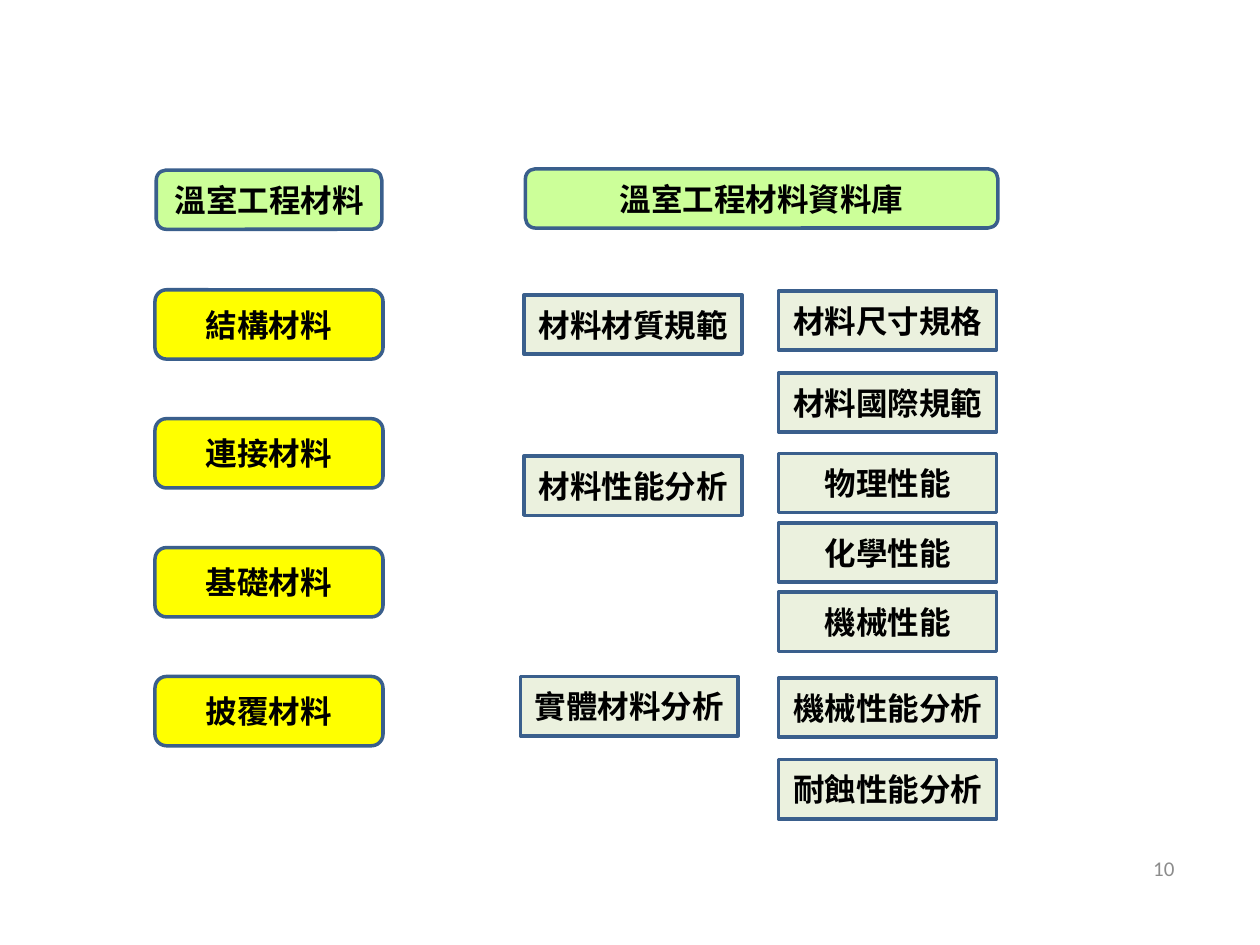
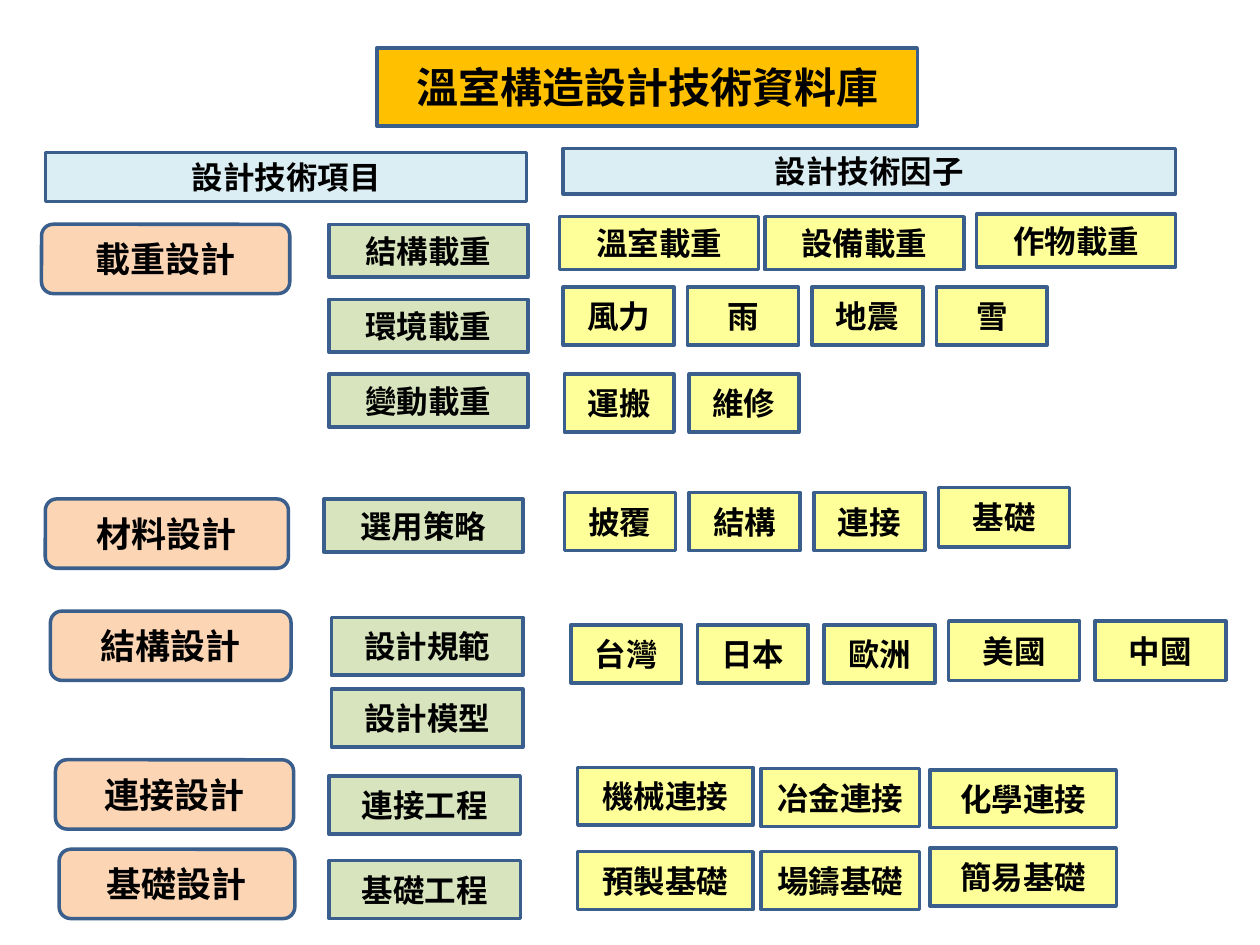
from dataclasses import dataclass
from typing import NamedTuple

from lxml import etree
from pptx import Presentation
from pptx import util as u
from pptx.dml.color import RGBColor
from pptx.enum import shapes, text
from pptx.oxml.ns import qn

BLACK = RGBColor(0x00, 0x00, 0x00)
GREY = RGBColor(0x8C, 0x8C, 0x8C)
OUTLINE = RGBColor(0x3A, 0x5F, 0x8C)
YELLOW = RGBColor(0xFF, 0xFF, 0x00)
LIME = RGBColor(0xCC, 0xFF, 0x99)
PALE_GREEN = RGBColor(0xEB, 0xF1, 0xDE)
ORANGE = RGBColor(0xFF, 0xC0, 0x00)
PEACH = RGBColor(0xFC, 0xD5, 0xB5)
OLIVE = RGBColor(0xD7, 0xE4, 0xBD)
PALE_YELLOW = RGBColor(0xFF, 0xFF, 0x99)
PALE_BLUE = RGBColor(0xDB, 0xEE, 0xF4)

CJK_FONT = "Noto Sans CJK SC"
LATIN_FONT = "Calibri"
SLIDE_WIDTH, SLIDE_HEIGHT = u.Inches(10), u.Inches(7.5)
COLUMNS, ROWS = 100, 75
RECT = shapes.MSO_SHAPE.RECTANGLE
ROUNDED = shapes.MSO_SHAPE.ROUNDED_RECTANGLE


@dataclass(frozen=True)
class TileStyle:
    fill: RGBColor
    outline: shapes.MSO_SHAPE = RECT
    size: int = 18


class Series(NamedTuple):
    labels: str
    left: float
    top: float
    width: float
    height: float
    across: float = 0
    down: float = 0


MATERIAL = TileStyle(YELLOW, ROUNDED)
HEADING = TileStyle(LIME, ROUNDED)
RECORD = TileStyle(PALE_GREEN)
BANNER = TileStyle(ORANGE, ROUNDED, 24)
DESIGN = TileStyle(PEACH, ROUNDED, 20)
ITEM = TileStyle(OLIVE)
FACTOR = TileStyle(PALE_YELLOW)
COLUMN_HEAD = TileStyle(PALE_BLUE)

MATERIAL_DATABASE = {
    HEADING: (
        Series("溫室工程材料", 12.4, 13.5, 17.9, 4.7),
        Series("溫室工程材料資料庫", 41.7, 13.4, 37.5, 4.7),
    ),
    MATERIAL: (
        Series("結構材料 連接材料 基礎材料 披覆材料", 12.3, 23, 18.1, 5.5, down=10.23),
    ),
    RECORD: (
        Series("材料材質規範 材料性能分析", 41.6, 23.4, 17.3, 4.7, down=12.8),
        Series("實體材料分析", 41.3, 53.7, 17.3, 4.7),
        Series("材料尺寸規格 材料國際規範", 61.8, 23.1, 17.3, 4.7, down=6.5),
        Series("物理性能 化學性能 機械性能", 61.8, 36, 17.3, 4.7, down=5.5),
        Series("機械性能分析 耐蝕性能分析", 61.8, 53.8, 17.3, 4.7, down=6.5),
    ),
}

DESIGN_DATABASE = {
    COLUMN_HEAD: (
        Series("設計技術項目", 3.6, 12.1, 38.2, 3.9),
        Series("設計技術因子", 44.7, 11.8, 48.6, 3.6),
    ),
    DESIGN: (
        Series("載重設計", 3.3, 17.8, 19.7, 5.5),
        Series("材料設計", 3.6, 39.6, 19.3, 5.5),
        Series("結構設計", 4, 48.5, 19.1, 5.5),
        Series("連接設計", 4.4, 60.3, 18.9, 5.5),
        Series("基礎設計", 4.7, 67.4, 18.7, 5.5),
    ),
    ITEM: (
        Series("結構載重 環境載重 變動載重", 26.1, 17.8, 15.8, 4.2, down=5.95),
        Series("選用策略", 25.7, 39.6, 15.8, 4.2),
        Series("設計規範 設計模型", 26.3, 49, 15.2, 4.6, down=5.7),
        Series("連接工程 基礎工程", 26.1, 61.6, 15.2, 4.6, down=6.7),
    ),
    FACTOR: (
        Series("溫室載重 設備載重", 44.4, 17.2, 15.8, 4.2, across=16.3),
        Series("作物載重", 77.5, 17, 15.8, 4.2),
        Series("風力 雨 地震 雪", 44.7, 22.8, 8.8, 4.6, across=9.87),
        Series("運搬 維修", 44.8, 29.7, 8.7, 4.6, across=9.9),
        Series("披覆 結構 連接", 44.8, 39.1, 8.8, 4.6, across=9.9),
        Series("基礎", 74.5, 38.7, 10.4, 4.7),
        Series("台灣 日本 歐洲", 45.3, 49.6, 8.8, 4.6, across=10.05),
        Series("美國 中國", 75.3, 49.3, 10.4, 4.7, across=11.6),
        Series("機械連接 預製基礎", 45.85, 60.9, 13.9, 4.6, down=6.7),
        Series("冶金連接 場鑄基礎", 60.4, 61, 12.6, 4.6, down=6.6),
        Series("化學連接 簡易基礎", 73.8, 61.1, 14.8, 4.6, down=6.2),
    ),
}


def col(count: float) -> u.Emu:
    return u.Emu(round(SLIDE_WIDTH * count / COLUMNS))


def row(count: float) -> u.Emu:
    return u.Emu(round(SLIDE_HEIGHT * count / ROWS))


def write(frame, words: str, *, size: int, color: RGBColor = BLACK, bold: bool = True,
          font: str = CJK_FONT, align=text.PP_ALIGN.CENTER) -> None:
    frame.word_wrap = True
    frame.auto_size = text.MSO_AUTO_SIZE.NONE
    frame.vertical_anchor = text.MSO_ANCHOR.MIDDLE
    paragraph = frame.paragraphs[0]
    paragraph.alignment = align
    run = paragraph.add_run()
    run.text = words
    run.font.size = u.Pt(size)
    run.font.bold = bold
    run.font.color.rgb = color
    run.font.name = font
    etree.SubElement(run.font._element, qn("a:ea")).set("typeface", font)


def paint(tile, words: str, style: TileStyle) -> None:
    tile.fill.solid()
    tile.fill.fore_color.rgb = style.fill
    tile.line.color.rgb = OUTLINE
    tile.line.width = u.Pt(2)
    write(tile.text_frame, words, size=style.size)


def draw_series(slide, series: Series, style: TileStyle) -> None:
    for step, label in enumerate(series.labels.split()):
        tile = slide.shapes.add_shape(
            style.outline,
            col(series.left + step * series.across),
            row(series.top + step * series.down),
            col(series.width), row(series.height))
        tile.shadow.inherit = False
        paint(tile, label, style)


def draw_diagram(slide, diagram: dict[TileStyle, tuple[Series, ...]]) -> None:
    for style, group in diagram.items():
        for series in group:
            draw_series(slide, series, style)


def draw_banner(slide, banner: Series) -> None:
    title = slide.shapes.title
    title.left, title.top = col(banner.left), row(banner.top)
    title.width, title.height = col(banner.width), row(banner.height)
    geometry = etree.SubElement(title._element.spPr, qn("a:prstGeom"), prst="roundRect")
    etree.SubElement(geometry, qn("a:avLst"))
    paint(title, banner.labels, BANNER)


def draw_page_number(slide, number: str) -> None:
    page_number = slide.shapes.add_textbox(col(70.9), row(66.9), col(23.3), row(4))
    write(page_number.text_frame, number, size=12, color=GREY, bold=False,
          font=LATIN_FONT, align=text.PP_ALIGN.RIGHT)


def main() -> None:
    deck = Presentation()
    deck.slide_width, deck.slide_height = SLIDE_WIDTH, SLIDE_HEIGHT
    title_only, blank = deck.slide_layouts[5], deck.slide_layouts[6]

    materials = deck.slides.add_slide(blank)
    draw_diagram(materials, MATERIAL_DATABASE)
    draw_page_number(materials, "10")

    designs = deck.slides.add_slide(title_only)
    draw_banner(designs, Series("溫室構造設計技術資料庫", 29.9, 3.8, 42.9, 6.2))
    draw_diagram(designs, DESIGN_DATABASE)

    deck.save("out.pptx")


if __name__ == "__main__":
    main()
